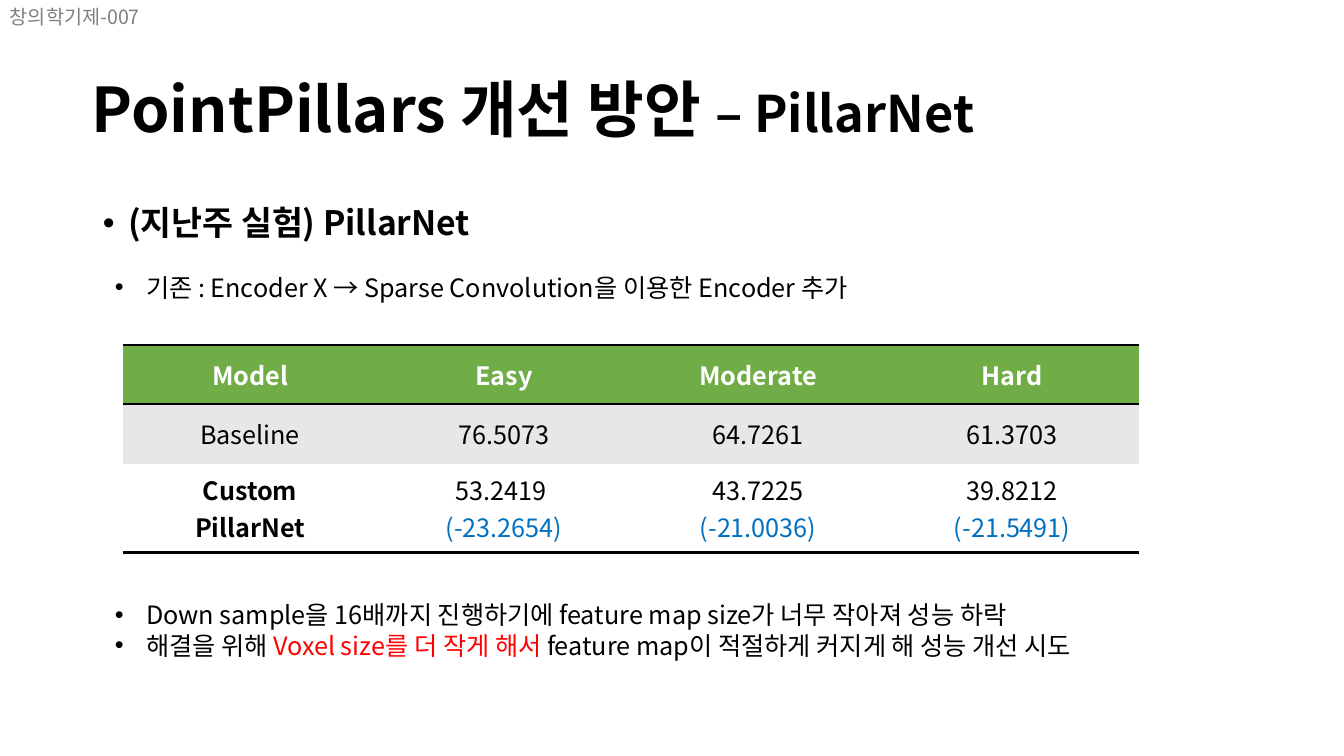
from lxml.etree import SubElement
from pptx import Presentation
from pptx.dml.color import RGBColor
from pptx.enum.text import MSO_ANCHOR as Anchor, MSO_AUTO_SIZE as AutoSize, PP_ALIGN as Align
from pptx.oxml.ns import qn
from pptx.util import Emu, Pt

PX = 9144  # EMU per px, 100 px to the inch
FONT = "Noto Sans CJK KR"
BLACK, WHITE, GRAY = "000000", "FFFFFF", "808080"
GREEN, BAND, BLUE, RED = "70AD47", "E7E7E7", "0070C0", "FF0000"

MODEL_ROWS = [
    ["Model", "Easy", "Moderate", "Hard"],
    ["Baseline", "76.5073", "64.7261", "61.3703"],
    ["Custom\nPillarNet", "53.2419 \n(-23.2654)", "43.7225\n(-21.0036)", "39.8212\n(-21.5491)"],
]
ROW_HEIGHTS = [59, 59, 88]
ROW_FILLS = [GREEN, BAND, WHITE]
COLUMN_WIDTH = 252


def px(*lengths):
    return [Emu(length * PX) for length in lengths]


def color(hex_string):
    return RGBColor.from_string(hex_string)


def add_run(paragraph, text, size, hex_color=BLACK, bold=False):
    run = paragraph.add_run()
    run.text = text
    font = run.font
    font.size, font.bold, font.name = Pt(size), bold, FONT
    font.color.rgb = color(hex_color)
    SubElement(font._element, qn("a:ea"), typeface=FONT)


def set_bullet(paragraph, indent):
    properties = paragraph._p.get_or_add_pPr()
    properties.set("marL", str(indent * PX))
    properties.set("indent", str(-indent * PX))
    SubElement(properties, qn("a:buFont"), typeface="Arial")
    SubElement(properties, qn("a:buChar"), char="•")


def place(shape, left, top, width, height):
    shape.left, shape.top, shape.width, shape.height = px(left, top, width, height)
    shape.text_frame.word_wrap = True
    shape.text_frame.auto_size = AutoSize.NONE


def fill_title(title):
    place(title, 81, 39, 1208, 145)
    title.text_frame.vertical_anchor = Anchor.MIDDLE
    paragraph = title.text_frame.paragraphs[0]
    paragraph.alignment, paragraph.line_spacing = Align.LEFT, 0.9
    add_run(paragraph, "PointPillars 개선 방안 ", 44, bold=True)
    add_run(paragraph, "– PillarNet", 36, bold=True)


def fill_body(body):
    place(body, 92, 200, 1150, 476)
    paragraph = body.text_frame.paragraphs[0]
    paragraph.line_spacing, paragraph.space_before = 0.9, Pt(10)
    set_bullet(paragraph, 25)
    add_run(paragraph, "(지난주 실험) PillarNet", 24, bold=True)


def add_text(slide, box, lines, size, bulleted=True):
    """Each line is a list of (text, color) parts."""
    shape = slide.shapes.add_textbox(*px(*box))
    frame = shape.text_frame
    frame.word_wrap = True
    for index, parts in enumerate(lines):
        paragraph = frame.add_paragraph() if index else frame.paragraphs[0]
        if bulleted:
            set_bullet(paragraph, 31)
        for text, hex_color in parts:
            add_run(paragraph, text, size, hex_color)


def set_borders(cell, ruled_sides):
    properties = cell._tc.get_or_add_tcPr()
    for side in "LRTB":
        line = SubElement(properties, qn(f"a:ln{side}"), w=str(Pt(2)))
        if side in ruled_sides:
            fill = SubElement(line, qn("a:solidFill"))
            SubElement(fill, qn("a:srgbClr"), val=BLACK)
        else:
            SubElement(line, qn("a:noFill"))


def fill_cell(cell, text, fill, ruled_sides, is_header, is_label):
    set_borders(cell, ruled_sides)
    cell.fill.solid()
    cell.fill.fore_color.rgb = color(fill)
    cell.vertical_anchor = Anchor.MIDDLE
    frame = cell.text_frame
    for index, line in enumerate(text.split("\n")):
        paragraph = frame.add_paragraph() if index else frame.paragraphs[0]
        paragraph.alignment = Align.CENTER
        text_color = WHITE if is_header else BLUE if line.startswith("(") else BLACK
        add_run(paragraph, line, 18, text_color, bold=is_header or is_label)


def add_model_table(slide):
    column_count = len(MODEL_ROWS[0])
    box = px(122, 342, COLUMN_WIDTH * column_count, sum(ROW_HEIGHTS))
    table = slide.shapes.add_table(len(MODEL_ROWS), column_count, *box).table
    table.first_row = table.horz_banding = False
    for column in table.columns:
        column.width = Emu(COLUMN_WIDTH * PX)
    rules = ["TB", "T", "B"]
    for row_index, texts in enumerate(MODEL_ROWS):
        table.rows[row_index].height = Emu(ROW_HEIGHTS[row_index] * PX)
        for column_index, text in enumerate(texts):
            fill_cell(table.cell(row_index, column_index), text, ROW_FILLS[row_index],
                      rules[row_index], is_header=row_index == 0,
                      is_label=row_index == 2 and column_index == 0)


def main():
    presentation = Presentation()
    presentation.slide_width, presentation.slide_height = px(1333, 750)
    slide = presentation.slides.add_slide(presentation.slide_layouts[1])

    # Heading and topic
    fill_title(slide.shapes.title)
    add_text(slide, (0, 0, 171, 34), [[("창의학기제-007", GRAY)]], 14, bulleted=False)
    fill_body(slide.placeholders[1])

    # Results
    add_model_table(slide)

    # Findings below and method above the table
    add_text(slide, (104, 590, 1065, 71), [
        [("Down sample을 16배까지 진행하기에 feature map size가 너무 작아져 성능 하락", BLACK)],
        [("해결을 위해 ", BLACK), ("Voxel size를 더 작게 해서 ", RED),
         ("feature map이 적절하게 커지게 해 성능 개선 시도", BLACK)],
    ], 18)
    add_text(slide, (104, 265, 1065, 40), [
        [("기존 : Encoder X → Sparse Convolution을 이용한 Encoder 추가", BLACK)],
    ], 18)

    presentation.save("out.pptx")


if __name__ == "__main__":
    main()
